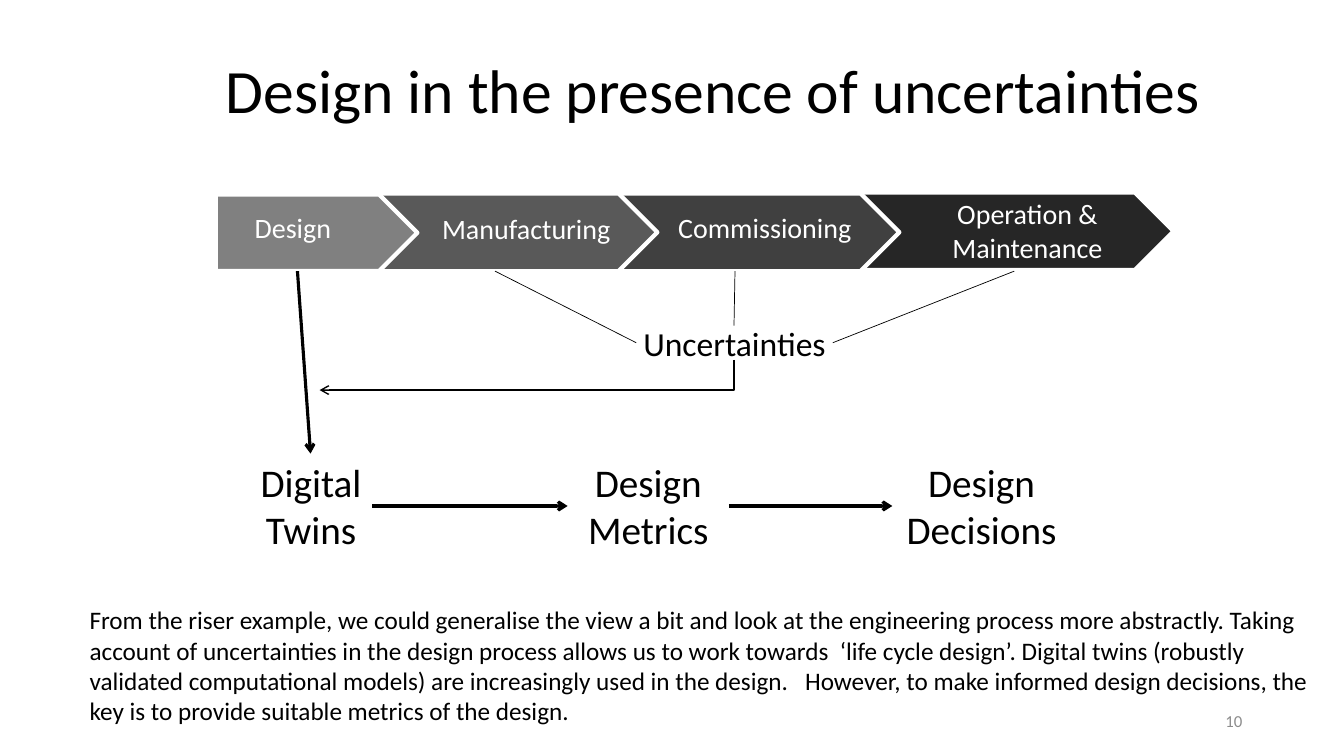
from typing import NamedTuple

from lxml import etree
from pptx import Presentation
from pptx.dml.color import RGBColor
from pptx.enum import shapes, text
from pptx.oxml.ns import qn
from pptx.util import Inches, Pt

FONT = "Calibri"
BLACK, WHITE, GREY = "000000", "FFFFFF", "8C8C8C"
LEFT, CENTER, RIGHT = text.PP_ALIGN.LEFT, text.PP_ALIGN.CENTER, text.PP_ALIGN.RIGHT
TOP, MIDDLE = text.MSO_ANCHOR.TOP, text.MSO_ANCHOR.MIDDLE
STRAIGHT, ELBOW = shapes.MSO_CONNECTOR.STRAIGHT, shapes.MSO_CONNECTOR.ELBOW


class Box(NamedTuple):
    """Left, top, width and height in inches."""
    left: float
    top: float
    width: float
    height: float


class Stage(NamedTuple):
    """One arrow of the life cycle and its label."""
    label: str
    color: str
    arrow: Box
    label_box: Box


class Line(NamedTuple):
    """A straight line from start to end in inches."""
    start: tuple[float, float]
    end: tuple[float, float]
    weight: float
    arrow: bool = False


# Drawn from right to left, so that each arrow tip overlaps the next stage.
STAGES = [
    Stage("Operation & Maintenance", "262626",
          Box(8.07, 1.91, 3.57, 0.77), Box(8.87, 1.9, 2.64, 0.77)),
    Stage("Commissioning", "404040",
          Box(6.04, 1.92, 2.88, 0.77), Box(6.41, 2.04, 2.35, 0.44)),
    Stage("Manufacturing", "595959",
          Box(3.69, 1.92, 2.83, 0.77), Box(4.07, 2.05, 2.3, 0.44)),
    Stage("Design", "808080",
          Box(2.14, 1.93, 2, 0.76), Box(2.27, 2.04, 1.27, 0.44)),
]
OUTCOMES = {
    "Digital Twins": Box(2.47, 4.5, 1.23, 1.04),
    "Design Metrics": Box(5.63, 4.5, 1.6, 1.04),
    "Design Decisions": Box(8.85, 4.5, 1.77, 1.04),
}
STAGE_BOTTOM, OUTCOME_MIDDLE = 2.69, 5.02
LINES = [
    Line((2.95, STAGE_BOTTOM), (3.08, 4.5), 2.25, True),
    Line((4.91, STAGE_BOTTOM), (6.31, 3.4), 0.5),
    Line((7.29, STAGE_BOTTOM), (7.28, 3.23), 0.5),
    Line((10.06, STAGE_BOTTOM), (8.26, 3.4), 0.5),
    Line((3.69, OUTCOME_MIDDLE), (5.63, OUTCOME_MIDDLE), 2.25, True),
    Line((7.23, OUTCOME_MIDDLE), (8.85, OUTCOME_MIDDLE), 2.25, True),
]
SUMMARY = (
    "From the riser example, we could generalise the view a bit and look at the "
    "engineering process more abstractly. Taking account of uncertainties in the "
    "design process allows us to work towards  ‘life cycle design’. Digital twins "
    "(robustly validated computational models) are increasingly used in the design.   "
    "However, to make informed design decisions, the key is to provide suitable "
    "metrics of the design."
)


def rgb(color: str) -> RGBColor:
    """Turn a hex string into a colour."""
    return RGBColor.from_string(color)


def inches(box: Box) -> list[Inches]:
    """Turn a box into lengths."""
    return [Inches(value) for value in box]


def write(shape, content: str, *, size: float, color: str = BLACK, align=LEFT,
          anchor=TOP, inset: tuple[float, float] = (0.1, 0.05), spacing: float = 1):
    """Put formatted text into a shape."""
    frame = shape.text_frame
    frame.word_wrap = True
    frame.auto_size = text.MSO_AUTO_SIZE.NONE
    frame.vertical_anchor = anchor
    frame.margin_left = frame.margin_right = Inches(inset[0])
    frame.margin_top = frame.margin_bottom = Inches(inset[1])
    paragraph = frame.paragraphs[0]
    paragraph.alignment, paragraph.line_spacing = align, spacing
    run = paragraph.add_run()
    run.text = content
    run.font.name, run.font.size = FONT, Pt(size)
    run.font.color.rgb = rgb(color)


def add_text(slide, box: Box, content: str, **formatting):
    """Add a text box."""
    write(slide.shapes.add_textbox(*inches(box)), content, **formatting)


def add_block(slide, kind, box: Box, fill: str, outline: float = 0):
    """Add a filled shape, with a white outline if a weight is given."""
    shape = slide.shapes.add_shape(kind, *inches(box))
    shape.shadow.inherit = False
    shape.fill.solid()
    shape.fill.fore_color.rgb = rgb(fill)
    if outline:
        shape.line.color.rgb = rgb(WHITE)
        shape.line.width = Pt(outline)
    else:
        shape.line.fill.background()
    return shape


def add_line(slide, line: Line, kind=STRAIGHT):
    """Add a black connector, with an arrowhead at its end if asked for."""
    ends = [Inches(value) for value in (*line.start, *line.end)]
    connector = slide.shapes.add_connector(kind, *ends)
    connector.line.color.rgb = rgb(BLACK)
    connector.line.width = Pt(line.weight)
    if line.arrow:
        outline = connector.line._get_or_add_ln()
        etree.SubElement(outline, qn("a:tailEnd"), type="arrow")
    etree.SubElement(connector._element.spPr, qn("a:effectLst"))
    return connector


def add_corner_arrow(slide, start: tuple[float, float], end: tuple[float, float]):
    """Add an arrow that runs down from start, then left to end."""
    drop, run = end[1] - start[1], start[0] - end[0]
    middle_x, middle_y = (start[0] + end[0]) / 2, (start[1] + end[1]) / 2
    unrotated = Line((middle_x - drop / 2, middle_y - run / 2),
                     (middle_x + drop / 2, middle_y + run / 2), 1, True)
    properties = add_line(slide, unrotated, ELBOW)._element.spPr
    properties.find(qn("a:xfrm")).set("rot", str(90 * 60000))
    properties.find(qn("a:prstGeom")).set("prst", "bentConnector2")


def build():
    """Build and save the slide."""
    presentation = Presentation()
    presentation.slide_width, presentation.slide_height = Inches(13.33), Inches(7.5)
    slide = presentation.slides.add_slide(presentation.slide_layouts[5])

    title = slide.shapes.title
    title.left, title.top, title.width, title.height = inches(Box(2.14, 0.55, 10.24, 1.45))
    write(title, "Design in the presence of uncertainties", size=44, spacing=0.9)

    for stage in STAGES:
        add_block(slide, shapes.MSO_SHAPE.PENTAGON, stage.arrow, stage.color, outline=3)
    for stage in STAGES:
        add_text(slide, stage.label_box, stage.label, size=20, color=WHITE, align=CENTER)

    uncertainties = add_block(slide, shapes.MSO_SHAPE.RECTANGLE,
                              Box(6.31, 3.23, 1.95, 0.34), WHITE)
    write(uncertainties, "Uncertainties", size=24, align=CENTER, anchor=MIDDLE, inset=(0, 0))

    for label, box in OUTCOMES.items():
        add_text(slide, box, label, size=28, align=CENTER)
    for line in LINES:
        add_line(slide, line)
    add_corner_arrow(slide, (7.28, 3.57), (3.17, 3.87))

    add_text(slide, Box(0.79, 5.95, 12.37, 1.31), SUMMARY, size=18)
    add_text(slide, Box(9.42, 6.95, 3, 0.4), "10", size=12, color=GREY,
             align=RIGHT, anchor=MIDDLE)
    presentation.save("out.pptx")


build()
